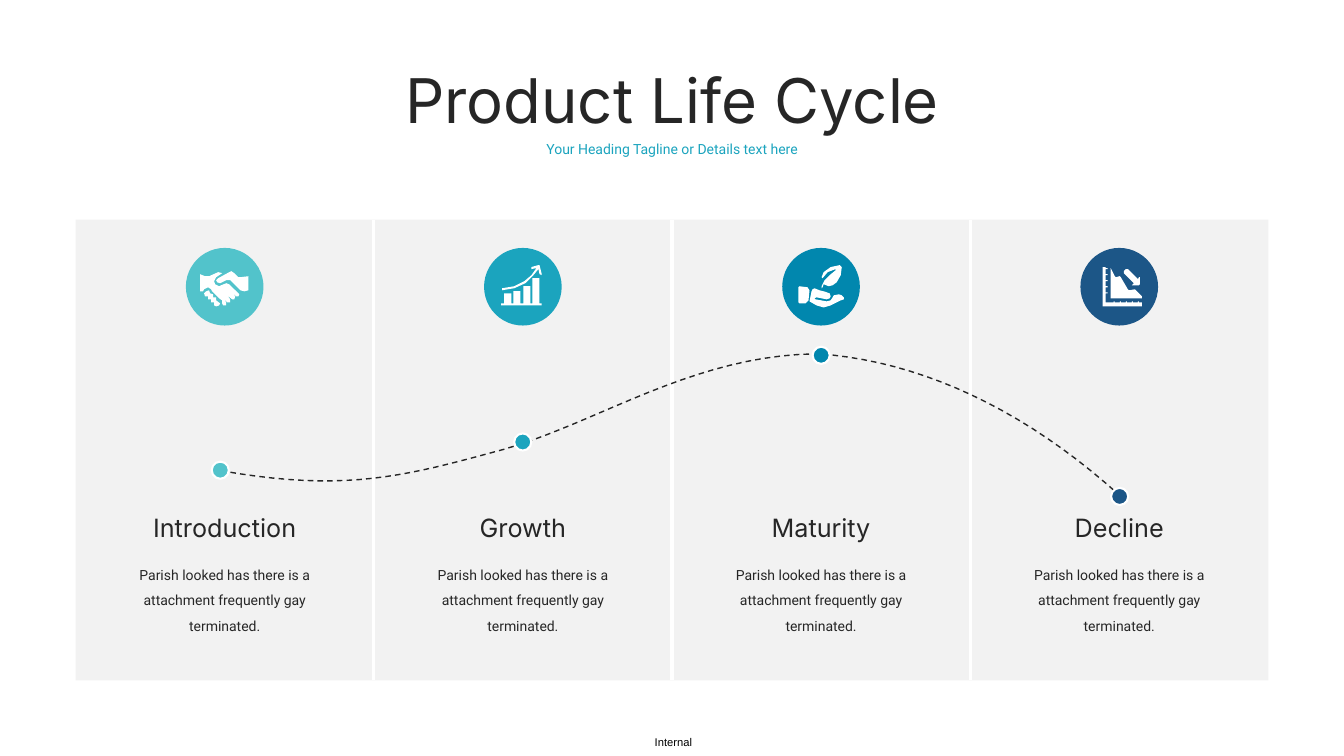
"""Build the Product Life Cycle slide with four stages, icons and a curve."""
import pptx
import pptx.util
import pptx.dml.color
import pptx.enum.dml
import pptx.enum.shapes
import pptx.enum.text
import pptx.oxml.ns
import lxml.etree

Inches, Pt = pptx.util.Inches, pptx.util.Pt
RGB = pptx.dml.color.RGBColor.from_string
KIND = pptx.enum.shapes.MSO_SHAPE
TEXT = pptx.enum.text

hues = {"ink": "262626", "panel": "F2F2F2", "white": "FFFFFF", "black": "000000",
        "aqua": "52C3CB", "teal": "1BA4BE", "blue": "0187AE", "navy": "1C5687"}

deck = pptx.Presentation()
deck.slide_width, deck.slide_height = Inches(13.33), Inches(7.5)
slide = deck.slides.add_slide(deck.slide_layouts[6])
shapes = slide.shapes


def paint(shape, fill=None, line=None, width=0):
    """Set the fill and outline of a shape and drop its shadow."""
    shape.shadow.inherit = False
    if fill:
        shape.fill.solid()
        shape.fill.fore_color.rgb = RGB(hues[fill])
    else:
        shape.fill.background()
    if line:
        shape.line.color.rgb = RGB(hues[line])
        shape.line.width = Pt(width)
    else:
        shape.line.fill.background()


def write(text, box, size, font, hue, space=None, inset=None):
    """Add a centred text box."""
    frame = shapes.add_textbox(*map(Inches, box)).text_frame
    frame.word_wrap = inset is None
    frame.auto_size = TEXT.MSO_AUTO_SIZE.SHAPE_TO_FIT_TEXT
    if inset is not None:
        frame.margin_left = frame.margin_right = Inches(inset)
        frame.margin_top = frame.margin_bottom = Inches(inset)
    para = frame.paragraphs[0]
    para.text = text
    para.alignment = TEXT.PP_ALIGN.CENTER
    para.line_spacing = space
    para.font.size, para.font.name = Pt(size), font
    para.font.color.rgb = RGB(hues[hue])


left, top, wide, high = 0.75, 2.18, 11.83, 4.57
pitch = wide / 4
panel = shapes.add_shape(KIND.RECTANGLE, Inches(left), Inches(top), Inches(wide), Inches(high))
paint(panel, "panel")
for col in range(1, 4):
    x = Inches(left + col * pitch)
    rule = shapes.add_connector(pptx.enum.shapes.MSO_CONNECTOR.STRAIGHT,
                                x, Inches(top), x, Inches(top + high))
    rule.line.color.rgb = RGB(hues["white"])
    rule.line.width = Pt(2.25)
    lxml.etree.SubElement(rule._element.spPr, pptx.oxml.ns.qn("a:effectLst"))

write("Product Life Cycle", (3.67, 0.57, 6, 0.84), 44, "Inter", "ink")
write("Your Heading Tagline or Details text here", (5.26, 1.34, 2.81, 0.27), 10, "Roboto", "teal")
write("Internal", (6.48, 7.3, 0.4, 0.13), 8, "Arial", "black", inset=0)

bends = [
    [(2.19, 4.67), (3.44, 4.89), (4.03, 4.72), (4.99, 4.46)],
    [(4.99, 4.46), (5.94, 4.19), (6.88, 3.52), (8.11, 3.51)],
    [(8.11, 3.51), (9.13, 3.58), (10.16, 4.06), (11.11, 4.92)],
]
steps = 20
trail = []
for bend in bends:
    for step in range(1, steps + 1):
        t = step / steps
        parts = ((1 - t) ** 3, 3 * t * (1 - t) ** 2, 3 * t * t * (1 - t), t ** 3)
        trail.append([Inches(sum(w * p[axis] for w, p in zip(parts, bend))) for axis in (0, 1)])
pen = shapes.build_freeform(*map(Inches, bends[0][0]))
pen.add_line_segments(trail, close=False)
curve = pen.convert_to_shape()
paint(curve, None, "ink", 1)
curve.line.dash_style = pptx.enum.dml.MSO_LINE.DASH

hands = [
    [(62, 28), (62, 42), (58, 43), (54, 42), (44, 32), (40, 32), (34, 35), (31, 34), (30, 32),
     (32, 30), (43, 24), (45, 23), (48, 25), (52, 29), (54, 29)],
    [(30, 52), (30, 49), (27, 49), (27, 46), (24, 45), (23, 42), (20, 43), (18, 45), (19, 48),
     (22, 48), (22, 51), (25, 51), (25, 54), (28, 54), (28, 57), (30, 58), (33, 57), (34, 55)],
    [(52, 45), (43, 36), (40, 35), (35, 37), (33, 38), (29, 36), (28, 33), (30, 29), (36, 25),
     (32, 24), (23, 28), (19, 28), (14, 26), (14, 43), (17, 43), (18, 41), (22, 39), (25, 41),
     (26, 43), (28, 45), (31, 48), (33, 50), (36, 52), (36, 55), (37, 57), (40, 57), (40, 54),
     (37, 50), (41, 54), (44, 54), (44, 51), (41, 47), (46, 51), (48, 51), (49, 48), (45, 44),
     (50, 48), (52, 48), (53, 46)],
]
bars = [
    [(17, 57), (17, 55), (20, 55), (20, 45), (27, 45), (27, 55), (29, 55), (29, 43), (36, 43),
     (36, 55), (39, 55), (39, 38), (46, 38), (46, 55), (48, 55), (48, 30), (55, 30), (55, 55),
     (57, 55), (57, 57)],
    [(18, 42), (30, 40), (41, 35), (49, 27), (54, 21), (55, 26), (57, 27), (57, 25), (55, 17),
     (54, 17), (47, 19), (47, 21), (52, 20), (47, 27), (40, 33), (30, 38), (18, 40)],
]
leaf = [
    [(39, 40), (40, 39), (41, 36), (46, 38), (50, 37), (54, 34), (58, 27), (59, 19), (57, 17),
     (48, 19), (41, 24), (39, 29), (40, 30), (45, 24), (53, 21), (53, 22), (47, 27), (42, 32),
     (39, 38)],
    [(25, 39), (17, 38), (16, 39), (16, 54), (17, 55), (23, 55), (26, 52), (27, 42)],
    [(56, 46), (51, 47), (50, 49), (48, 52), (44, 53), (33, 51), (32, 50), (34, 49), (44, 51),
     (47, 50), (48, 48), (47, 45), (41, 43), (37, 42), (32, 40), (30, 41), (29, 43), (27, 53),
     (34, 57), (41, 59), (48, 57), (58, 52), (61, 51), (61, 49), (59, 47)],
]
slump = [
    [(39, 28), (35, 29), (34, 28), (30, 20), (30, 50), (61, 50), (61, 48), (54, 41), (48, 42),
     (47, 41), (40, 29)],
    [(22, 19), (25, 19), (25, 54), (61, 54), (61, 58), (22, 58)],
    [(51, 37), (58, 37), (59, 36), (59, 29), (58, 29), (57, 31), (47, 21), (45, 21), (43, 23),
     (43, 25), (53, 35)],
]
for tick in range(5):
    x, y = 33 + 6 * tick, 20 + 6 * tick
    slump.append([(x, 53), (x + 1, 53), (x + 1, 54), (x, 54)])
    slump.append([(25, y), (27, y), (27, y + 1), (25, y + 1)])

stages = [
    ("Introduction", "aqua", (2.1, 4.58), hands),
    ("Growth", "teal", (5.1, 4.3), bars),
    ("Maturity", "blue", (8.06, 3.44), leaf),
    ("Decline", "navy", (11.02, 4.84), slump),
]
blurb = "Parish looked has there is a attachment frequently gay terminated."
disc, spot = 0.77, 0.17
for col, (name, hue, dot, icon) in enumerate(stages):
    mid = left + pitch * (col + 0.5)
    mark = shapes.add_shape(KIND.OVAL, *map(Inches, dot), Inches(spot), Inches(spot))
    paint(mark, hue, "white", 1.5)
    write(name, (mid - 0.88, 5.03, 1.76, 0.4), 18, "Inter", "ink")
    write(blurb, (mid - 0.97, 5.49, 1.94, 0.83), 10, "Roboto", "ink", 1.5)
    x, y = Inches(mid - disc / 2), Inches(2.46)
    badge = shapes.add_shape(KIND.OVAL, x, y, Inches(disc), Inches(disc))
    paint(badge, hue)
    pen = shapes.build_freeform(*icon[0][0], scale=Inches(0.01))
    for part in icon:
        if part is not icon[0]:
            pen.move_to(*part[0])
        pen.add_line_segments(part[1:])
    paint(pen.convert_to_shape(x, y), "white")

deck.save("out.pptx")
